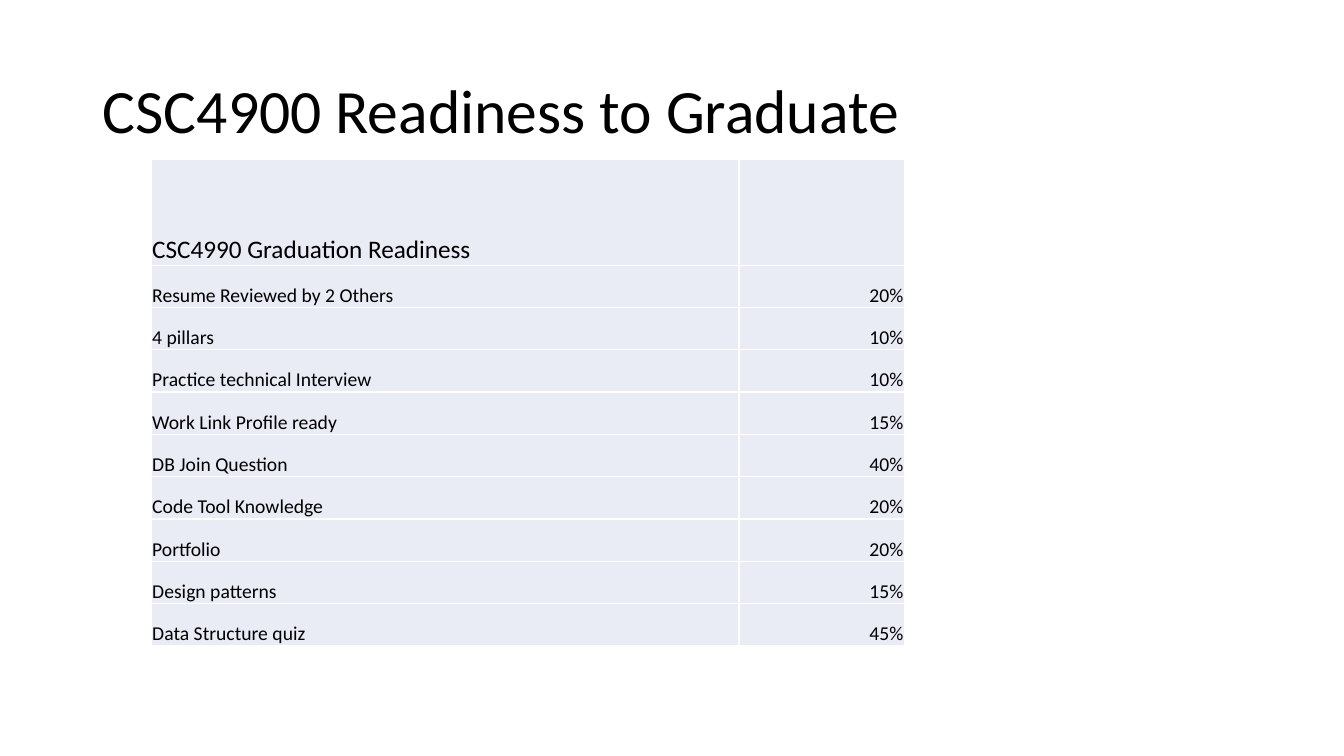
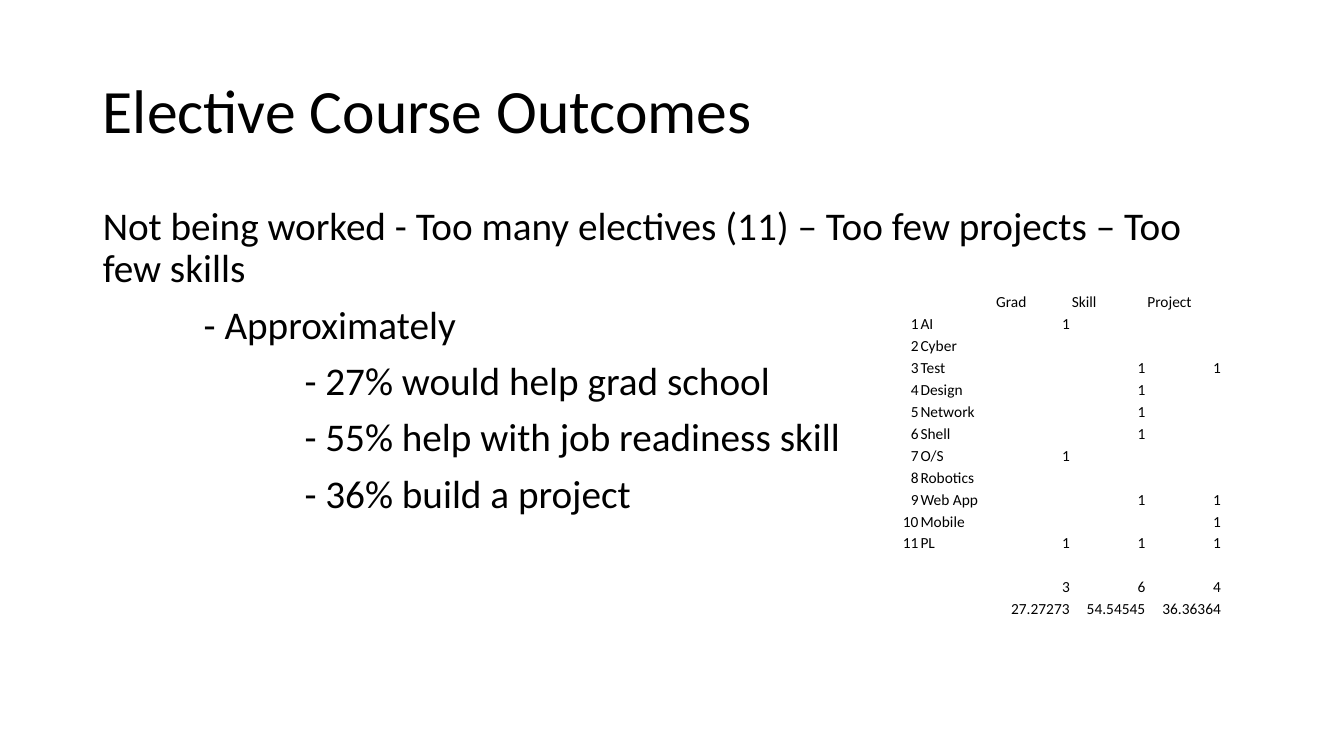
from dataclasses import dataclass

from lxml.etree import SubElement
from pptx import Presentation
from pptx.dml.color import RGBColor
from pptx.enum.text import MSO_ANCHOR, MSO_AUTO_SIZE, PP_ALIGN
from pptx.oxml.ns import qn
from pptx.util import Inches, Pt

READINESS_TITLE = "CSC4900 Readiness to Graduate"
READINESS_ROWS = [
    ("CSC4990 Graduation Readiness", ""),
    ("Resume Reviewed by 2 Others", "20%"),
    ("4 pillars", "10%"),
    ("Practice technical Interview", "10%"),
    ("Work Link Profile ready", "15%"),
    ("DB Join Question", "40%"),
    ("Code Tool Knowledge", "20%"),
    ("Portfolio", "20%"),
    ("Design patterns", "15%"),
    ("Data Structure quiz", "45%"),
]

OUTCOMES_TITLE = "Elective Course Outcomes"
OUTCOMES = [
    (0, "Not being worked - Too many electives (11) – Too few projects – Too few skills"),
    (1, "- Approximately"),
    (2, "- 27% would help grad school"),
    (2, "- 55% help with job readiness skill"),
    (2, "- 36% build a project"),
]
GOALS = ("Grad", "Skill", "Project")
ELECTIVES = [
    ("AI", {"Grad"}),
    ("Cyber", set()),
    ("Test", {"Skill", "Project"}),
    ("Design", {"Skill"}),
    ("Network", {"Skill"}),
    ("Shell", {"Skill"}),
    ("O/S", {"Grad"}),
    ("Robotics", set()),
    ("Web App", {"Skill", "Project"}),
    ("Mobile", {"Project"}),
    ("PL", {"Grad", "Skill", "Project"}),
]


@dataclass(frozen=True)
class Theme:
    font: str = "Calibri"
    ink: str = "000000"
    cell_fill: str = "E9EBF5"
    cell_border: str = "FFFFFF"
    title_size: int = 44
    body_size: int = 28
    heading_size: int = 18
    row_size: int = 14
    grid_size: int = 11
    plain_table: str = "{2D5ABB26-0587-4C30-8999-92F81FD0307C}"


THEME = Theme()


def write(para, text, size, align=PP_ALIGN.LEFT, line=None, before=None, indent=None):
    para.alignment = align
    if line is not None:
        para.line_spacing = line
    if before is not None:
        para.space_before = Pt(before)
    if indent is not None:
        properties = para._p.get_or_add_pPr()
        properties.set("marL", str(Inches(indent)))
        properties.set("indent", "0")
        SubElement(properties, qn("a:buNone"))
    if not text:
        SubElement(para._p, qn("a:endParaRPr"), sz=str(size * 100))
        return
    span = para.add_run()
    span.text = text
    span.font.name = THEME.font
    span.font.size = Pt(size)
    span.font.color.rgb = RGBColor.from_string(THEME.ink)


def place(box, left, top, width, height, anchor):
    box.left, box.top = Inches(left), Inches(top)
    box.width, box.height = Inches(width), Inches(height)
    frame = box.text_frame
    frame.word_wrap = True
    frame.auto_size = MSO_AUTO_SIZE.NONE
    frame.vertical_anchor = anchor
    return frame


def add_page(deck, layout_name, title):
    page = deck.slides.add_slide(deck.slide_layouts.get_by_name(layout_name))
    frame = place(page.shapes.title, 0.92, 0.4, 11.5, 1.45, MSO_ANCHOR.MIDDLE)
    write(frame.paragraphs[0], title, THEME.title_size, line=0.9, before=0)
    return page


def add_borders(cell):
    properties = cell._tc.get_or_add_tcPr()
    for position, side in enumerate(("a:lnL", "a:lnR", "a:lnT", "a:lnB")):
        border = SubElement(properties, qn(side), w=str(Pt(1)))
        fill = SubElement(border, qn("a:solidFill"))
        SubElement(fill, qn("a:srgbClr"), val=THEME.cell_border)
        properties.insert(position, border)


def is_number(text):
    return text.rstrip("%").replace(".", "").isdigit()


def add_grid(page, left, top, widths, heights, rows, sizes, fill=None):
    box = page.shapes.add_table(
        len(rows), len(widths), Inches(left), Inches(top),
        Inches(sum(widths)), Inches(sum(heights)),
    )
    table = box.table
    table.first_row = table.horz_banding = False
    table._tbl.tblPr.find(qn("a:tableStyleId")).text = THEME.plain_table
    for column, width in zip(table.columns, widths):
        column.width = Inches(width)
    for row, height, texts, size in zip(table.rows, heights, rows, sizes):
        row.height = Inches(height)
        for cell, text in zip(row.cells, texts):
            cell.margin_left = cell.margin_right = cell.margin_top = Inches(0.01)
            cell.margin_bottom = 0
            cell.vertical_anchor = MSO_ANCHOR.BOTTOM
            align = PP_ALIGN.RIGHT if is_number(text) else PP_ALIGN.LEFT
            write(cell.text_frame.paragraphs[0], text, size, align=align)
            if fill:
                cell.fill.solid()
                cell.fill.fore_color.rgb = RGBColor.from_string(fill)
                add_borders(cell)
            else:
                cell.fill.background()


def elective_rows():
    marks = [
        (str(number), name, *("1" if goal in goals else "" for goal in GOALS))
        for number, (name, goals) in enumerate(ELECTIVES, 1)
    ]
    totals = [sum(goal in goals for name, goals in ELECTIVES) for goal in GOALS]
    shares = [f"{100 * total / len(ELECTIVES):.5f}" for total in totals]
    return [
        ("", "", *GOALS),
        *marks,
        ("",) * 5,
        ("", "", *map(str, totals)),
        ("", "", *shares),
    ]


def build_readiness(deck):
    page = add_page(deck, "Title Only", READINESS_TITLE)
    items = len(READINESS_ROWS) - 1
    add_grid(
        page, 1.5, 1.58, [5.83, 1.64], [1.05] + [0.42] * items, READINESS_ROWS,
        [THEME.heading_size] + [THEME.row_size] * items, fill=THEME.cell_fill,
    )


def build_outcomes(deck):
    page = add_page(deck, "Title and Content", OUTCOMES_TITLE)
    frame = place(page.placeholders[1], 0.92, 2, 11.5, 4.76, MSO_ANCHOR.TOP)
    for position, (level, text) in enumerate(OUTCOMES):
        para = frame.add_paragraph() if position else frame.paragraphs[0]
        write(para, text, THEME.body_size, line=0.9, before=10, indent=level)
    rows = elective_rows()
    count = len(rows)
    add_grid(
        page, 8.37, 2.88, [0.75] * 5, [3.26 / count] * count, rows,
        [THEME.grid_size] * count,
    )


deck = Presentation()
deck.slide_width, deck.slide_height = Inches(13.33), Inches(7.5)
build_readiness(deck)
build_outcomes(deck)
deck.save("out.pptx")
